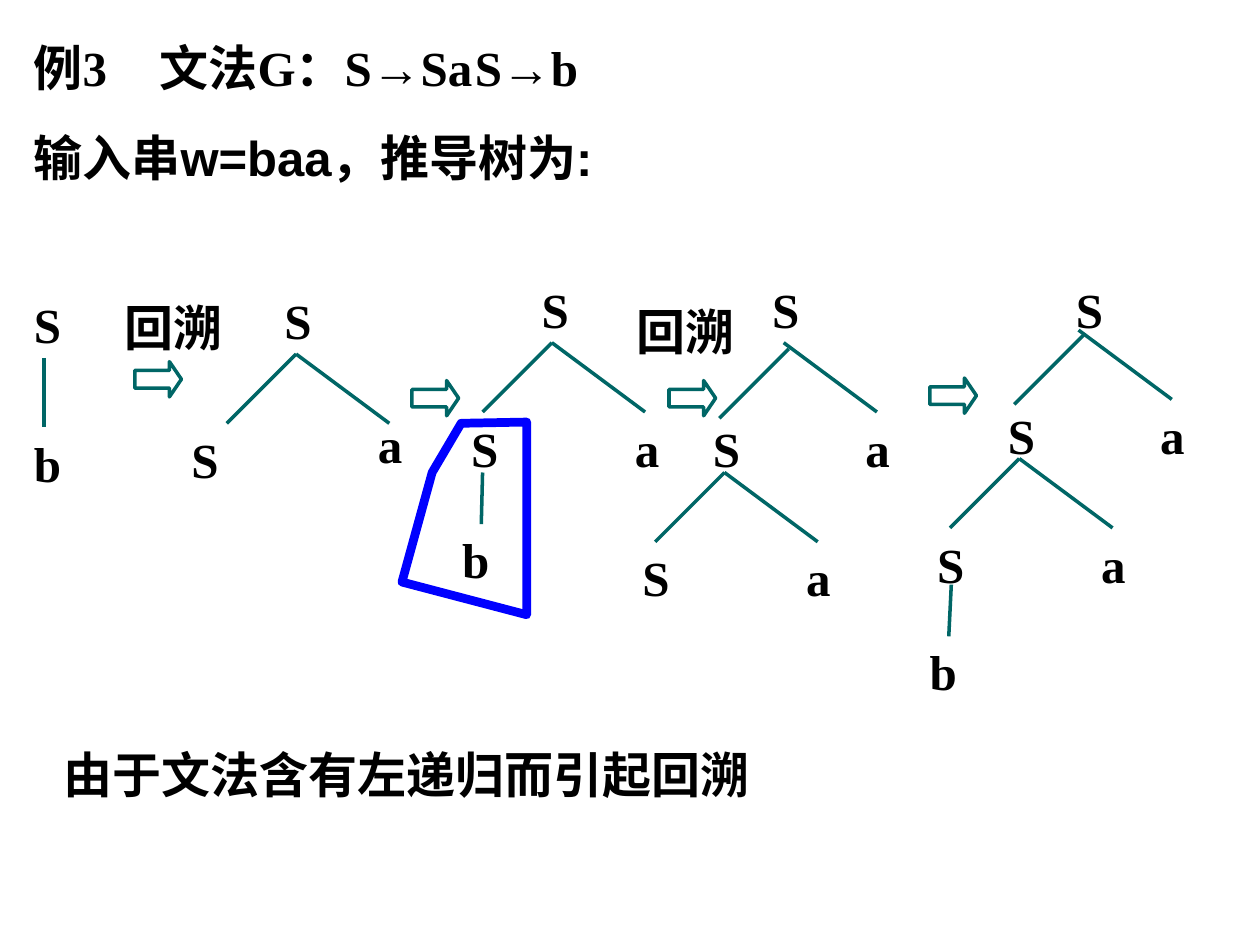
"""Build the slide on left recursion and backtracking with its derivation trees."""
from lxml import etree
from pptx import Presentation
from pptx.dml.color import RGBColor
from pptx.enum.shapes import MSO_CONNECTOR, MSO_SHAPE
from pptx.enum.text import MSO_AUTO_SIZE, PP_ALIGN
from pptx.oxml.ns import qn
from pptx.util import Inches, Pt

STRAIGHT = MSO_CONNECTOR.STRAIGHT
RIGHT_ARROW = MSO_SHAPE.RIGHT_ARROW
JUSTIFY, LEFT = PP_ALIGN.JUSTIFY, PP_ALIGN.LEFT
NO_RESIZE = MSO_AUTO_SIZE.NONE
TEAL, BLUE, BLACK = "006666", "0000FF", "000000"
SERIF, SANS = "Times New Roman", "Arial"


def color(hex_value):
    return RGBColor.from_string(hex_value)


def write(text, left, top, width, height=0.83, fonts=(SERIF,), align=JUSTIFY,
          wrap=True, hanging=0, tabs=()):
    box = page.shapes.add_textbox(Inches(left), Inches(top), Inches(width), Inches(height))
    frame = box.text_frame
    frame.word_wrap = wrap
    frame.auto_size = NO_RESIZE
    for index, (line, font_name) in enumerate(zip(text.split("\n"), fonts)):
        para = frame.paragraphs[0] if index == 0 else frame.add_paragraph()
        para.alignment = align
        if index:
            para.space_before = Pt(17.5)
        properties = para._p.get_or_add_pPr()
        if hanging:
            properties.set("marL", str(Inches(hanging)))
            properties.set("indent", str(-Inches(hanging)))
        if tabs:
            tab_list = etree.SubElement(properties, qn("a:tabLst"))
            for position in tabs:
                etree.SubElement(tab_list, qn("a:tab"), pos=str(Inches(position)), algn="l")
        span = para.add_run()
        span.text = line
        span.font.size = Pt(28)
        span.font.bold = True
        span.font.name = font_name
        span.font.color.rgb = color(BLACK)


deck = Presentation()
deck.slide_width, deck.slide_height = Inches(10), Inches(7.5)
page = deck.slides.add_slide(deck.slide_layouts[6])

write("例3\t文法G：S→Sa\tS→b\n输入串w=baa，推导树为:", 0.17, 0.25, 9, 1.28,
      fonts=(SERIF, SANS), align=LEFT, hanging=0.5, tabs=range(8))

trees = [
    {"nodes": [("S", 0.17, 2.29), ("b", 0.17, 3.39)],
     "stems": [(0.35, 2.84, 0.35, 3.39)]},
    {"nodes": [("S", 2.16, 2.26), ("S", 1.42, 3.36), ("a", 2.9, 3.24)],
     "left_tops": [(2.35, 2.81)], "right_tops": [(2.35, 2.81)],
     "arrow": (1.07, 2.87), "backtrack": (0.89, 2.31)},
    {"nodes": [("S", 4.2, 2.17), ("S", 3.64, 3.27), ("a", 4.94, 3.27), ("b", 3.57, 4.15)],
     "left_tops": [(4.38, 2.72)], "right_tops": [(4.38, 2.72)],
     "stems": [(3.83, 3.75, 3.82, 4.16)], "arrow": (3.27, 3.02)},
    {"nodes": [("S", 6.03, 2.17), ("S", 5.56, 3.27), ("a", 6.77, 3.27),
               ("S", 5, 4.3), ("a", 6.3, 4.3)],
     "left_tops": [(6.26, 2.77), (5.75, 3.75)], "right_tops": [(6.22, 2.72), (5.75, 3.75)],
     "arrow": (5.31, 3.02), "backtrack": (4.95, 2.34)},
    {"nodes": [("S", 8.44, 2.17), ("S", 7.9, 3.17), ("a", 9.11, 3.17),
               ("S", 7.34, 4.19), ("a", 8.64, 4.19), ("b", 7.28, 5.04)],
     "left_tops": [(8.6, 2.66), (8.09, 3.64)], "right_tops": [(8.56, 2.62), (8.09, 3.64)],
     "stems": [(7.55, 4.64, 7.53, 5.05)], "arrow": (7.38, 3)},
]

for tree in trees:
    branches = list(tree.get("stems", []))
    branches += [(x, y, x - 0.55, y + 0.55) for x, y in tree.get("left_tops", [])]
    branches += [(x, y, x + 0.74, y + 0.55) for x, y in tree.get("right_tops", [])]
    for ends in branches:
        branch = page.shapes.add_connector(STRAIGHT, *[Inches(value) for value in ends])
        branch.line.color.rgb = color(TEAL)
        branch.line.width = Pt(2)
        etree.SubElement(branch._element.spPr, qn("a:effectLst"))
    for label, left, top in tree["nodes"]:
        write(label, left, top, 0.6)
    if "arrow" in tree:
        left, top = tree["arrow"]
        arrow = page.shapes.add_shape(
            RIGHT_ARROW, Inches(left), Inches(top), Inches(0.37), Inches(0.28))
        arrow.adjustments[1] = 0.34
        arrow.shadow.inherit = False
        arrow.fill.background()
        arrow.line.color.rgb = color(TEAL)
        arrow.line.width = Pt(2)
    if "backtrack" in tree:
        write("回溯", *tree["backtrack"], 1.28)

write("由于文法含有左递归而引起回溯", 0.41, 5.86, 5.63, 0.57, align=LEFT, wrap=False)

corners = [(Inches(x), Inches(y)) for x, y in
           [(4.18, 3.35), (4.18, 4.88), (3.19, 4.62), (3.43, 3.75), (3.66, 3.36)]]
builder = page.shapes.build_freeform(*corners[0])
builder.add_line_segments(corners[1:], close=True)
outline = builder.convert_to_shape()
outline.shadow.inherit = False
outline.fill.background()
outline.line.color.rgb = color(BLUE)
outline.line.width = Pt(5)

deck.save("out.pptx")
